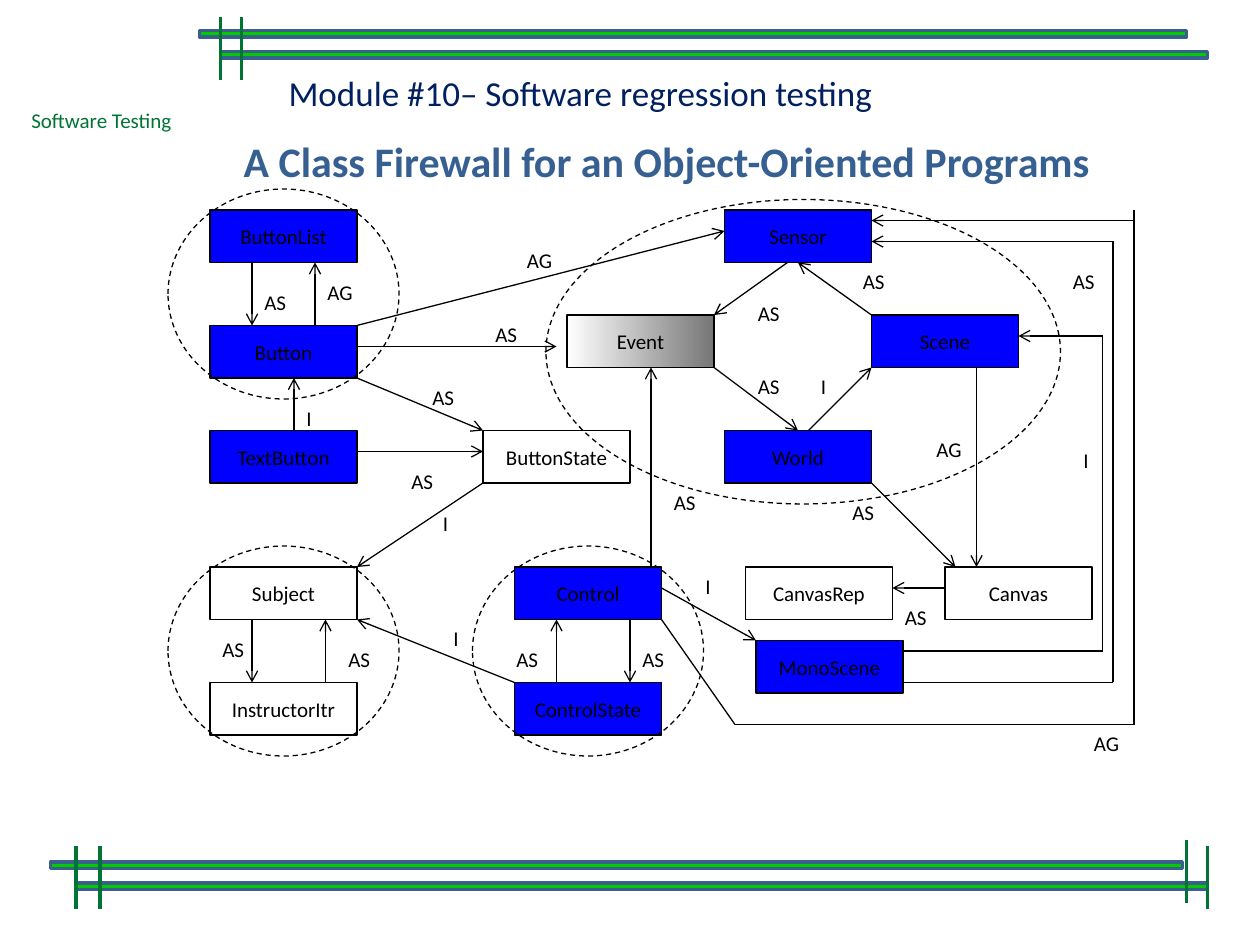
from itertools import pairwise

from lxml.etree import SubElement
from pptx import Presentation
from pptx.dml.color import RGBColor
from pptx.enum.dml import MSO_LINE
from pptx.enum.shapes import MSO_CONNECTOR, MSO_SHAPE
from pptx.enum.text import MSO_ANCHOR, MSO_AUTO_SIZE, PP_ALIGN
from pptx.oxml.ns import qn
from pptx.util import Emu, Pt

SCALE = 7620
BLACK, WHITE, BLUE, GREEN = "000000", "FFFFFF", "0000FF", "007434"
BOX_WIDTH, BOX_HEIGHT = 140, 50

CLASSES = [
    ("ButtonList", 200, 200, BLUE),
    ("Button", 200, 310, BLUE),
    ("Sensor", 690, 200, BLUE),
    ("TextButton", 200, 410, BLUE),
    ("Subject", 200, 540, WHITE),
    ("InstructorItr", 200, 650, WHITE),
    ("ButtonState", 460, 410, WHITE),
    ("Event", 540, 300, None),
    ("Scene", 830, 300, BLUE),
    ("World", 690, 410, BLUE),
    ("Control", 490, 540, BLUE),
    ("ControlState", 490, 650, BLUE),
    ("CanvasRep", 710, 540, WHITE),
    ("Canvas", 900, 540, WHITE),
    ("MonoScene", 720, 610, BLUE),
]

ROUTES = [
    [(750, 250), (680, 300)],
    [(830, 300), (760, 250)],
    [(680, 350), (760, 410)],
    [(770, 410), (830, 350)],
    [(930, 350), (930, 540)],
    [(830, 460), (910, 540)],
    [(900, 560), (850, 560)],
    [(240, 250), (240, 310)],
    [(300, 310), (300, 250)],
    [(280, 410), (280, 360)],
    [(340, 430), (460, 430)],
    [(340, 360), (460, 410)],
    [(340, 330), (530, 330)],
    [(340, 310), (690, 220)],
    [(620, 540), (620, 350)],
    [(530, 650), (530, 590)],
    [(600, 590), (600, 650)],
    [(240, 590), (240, 650)],
    [(310, 650), (310, 590)],
    [(460, 460), (340, 540)],
    [(490, 650), (340, 590)],
    [(630, 560), (720, 610)],
    [(860, 620), (1050, 620), (1050, 320), (970, 320)],
    [(860, 650), (1060, 650), (1060, 230), (830, 230)],
    [(1080, 210), (830, 210)],
]
CONTROL_TRUNK = [(630, 590), (700, 690), (1080, 690), (1080, 200)]

LABEL_WIDTHS = {"AS": 46, "AG": 49, "I": 29}
LABELS = {
    "AS": [(240, 270), (710, 280), (810, 250), (710, 350), (1010, 250),
           (850, 570), (320, 610), (200, 600), (380, 440), (400, 360),
           (460, 300), (600, 610), (480, 610), (630, 460), (800, 470)],
    "AG": [(300, 260), (880, 410), (490, 230), (1030, 690)],
    "I": [(410, 480), (280, 380), (420, 590), (660, 540), (1020, 420),
          (770, 350)],
}

FIREWALLS = [(160, 180, 220, 200), (160, 520, 220, 200),
             (450, 520, 220, 200), (520, 190, 490, 290)]


def px(*lengths):
    return [Emu(length * SCALE) for length in lengths]


def color(value):
    return RGBColor.from_string(value)


def set_line(line, value, weight):
    line.color.rgb = color(value)
    line.width = Pt(weight)


def write(shape, text, size, value, align=PP_ALIGN.LEFT, anchor=MSO_ANCHOR.TOP, wrap=False):
    frame = shape.text_frame
    frame.word_wrap = wrap
    frame.vertical_anchor = anchor
    para = frame.paragraphs[0]
    para.text = text
    para.alignment = align
    para.font.name = "Calibri"
    para.font.size = Pt(size)
    para.font.color.rgb = color(value)
    return para


def add_shape(shapes, kind, place, fill=None, line=None, weight=0.75):
    shape = shapes.add_shape(kind, *px(*place))
    shape.shadow.inherit = False
    if fill:
        shape.fill.solid()
        shape.fill.fore_color.rgb = color(fill)
    else:
        shape.fill.background()
    if line:
        set_line(shape.line, line, weight)
    else:
        shape.line.fill.background()
    return shape


def add_text(shapes, text, place, value=BLACK):
    box = shapes.add_textbox(*px(*place))
    write(box, text, 12, value)
    box.text_frame.auto_size = MSO_AUTO_SIZE.SHAPE_TO_FIT_TEXT


def add_line(shapes, start, end, value=BLACK, weight=0.75, arrow=False):
    line = shapes.add_connector(MSO_CONNECTOR.STRAIGHT, *px(*start, *end))
    set_line(line.line, value, weight)
    if arrow:
        SubElement(line.line._get_or_add_ln(), qn("a:tailEnd"), type="arrow")
    SubElement(line._element.spPr, qn("a:effectLst"))


def add_route(shapes, points, arrow=True):
    for start, end in pairwise(points):
        add_line(shapes, start, end, arrow=arrow and end == points[-1])


def add_class(shapes, name, left, top, fill):
    place = (left, top, BOX_WIDTH, BOX_HEIGHT)
    box = add_shape(shapes, MSO_SHAPE.RECTANGLE, place, fill, BLACK)
    if fill is None:
        box.fill.gradient()
        box.fill.gradient_angle = 0
        for stop, shade in zip(box.fill.gradient_stops, (WHITE, "767676")):
            stop.color.rgb = color(shade)
    write(box, name, 12, BLACK, PP_ALIGN.CENTER, MSO_ANCHOR.MIDDLE)


def add_rails(shapes, bars, width, posts):
    for left, top in bars:
        add_shape(shapes, MSO_SHAPE.FLOWCHART_PROCESS, (left, top, width, 6),
                  "00CC00", "3A5F8C", 2)
    for left, top in posts:
        add_line(shapes, (left, top), (left, top + 60), GREEN, 2.25)


def add_headings(shapes):
    module = add_shape(shapes, MSO_SHAPE.RECTANGLE, (263, 62, 761, 53), WHITE)
    write(module, "Module #10– Software regression testing", 20, "002060")
    module.text_frame.auto_size = MSO_AUTO_SIZE.SHAPE_TO_FIT_TEXT
    title = add_shape(shapes, MSO_SHAPE.RECTANGLE, (170, 120, 930, 66), WHITE)
    para = write(title, "A Class Firewall for an Object-Oriented Programs", 24,
                 "376092", PP_ALIGN.CENTER, MSO_ANCHOR.MIDDLE, wrap=True)
    para.font.bold = True
    frame = title.text_frame
    frame.margin_left, frame.margin_top, frame.margin_right, frame.margin_bottom = px(19, 19, 19, 19)


def main():
    deck = Presentation()
    deck.slide_width, deck.slide_height = px(1200, 900)
    page = deck.slides.add_slide(deck.slide_layouts[6])
    shapes = page.shapes
    add_text(shapes, "Software Testing", (18, 97, 160, 36), GREEN)
    add_rails(shapes.add_group_shape().shapes, [(190, 29), (210, 49)], 940,
              [(210, 16), (230, 16)])
    add_rails(shapes, [(48, 821), (72, 841)], 1078,
              [(72, 806), (95, 806), (1150, 806), (1130, 800)])
    add_headings(shapes)
    for name, left, top, fill in CLASSES:
        add_class(shapes, name, left, top, fill)
    for points in ROUTES:
        add_route(shapes, points)
    add_route(shapes, CONTROL_TRUNK, arrow=False)
    for text, places in LABELS.items():
        for left, top in places:
            add_text(shapes, text, (left, top, LABEL_WIDTHS[text], 36))
    for place in FIREWALLS:
        ring = add_shape(shapes, MSO_SHAPE.OVAL, place, line=BLACK)
        ring.line.dash_style = MSO_LINE.DASH
    deck.save("out.pptx")


if __name__ == "__main__":
    main()
